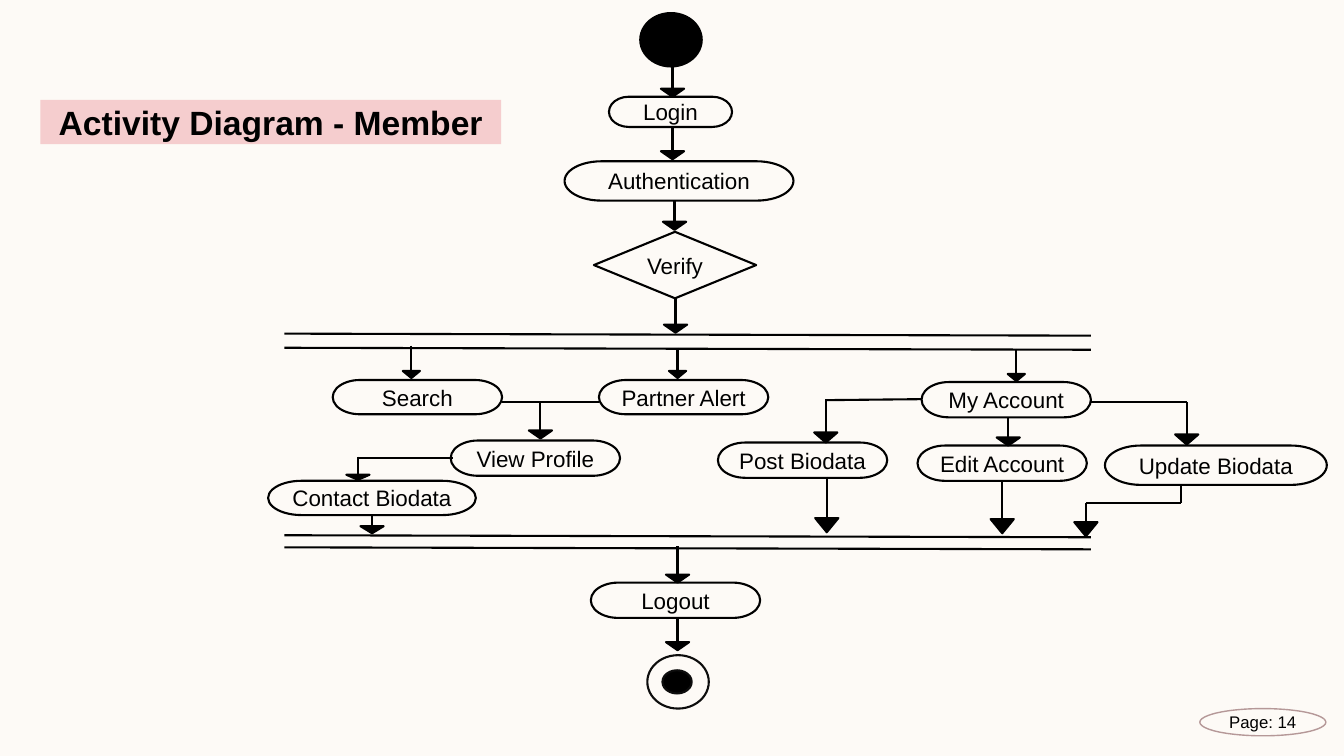
from lxml import etree
from pptx import Presentation
from pptx.dml.color import RGBColor
from pptx.enum import shapes, text
from pptx.oxml import ns
from pptx.util import Inches, Pt

COLORS = {
    "background": "FDFAF6",
    "banner": "F5CDCE",
    "ink": "000000",
    "final": "0D0D0D",
    "page": "B59898",
}
KIND = shapes.MSO_SHAPE

prs = Presentation()
prs.slide_width, prs.slide_height = Inches(13.33), Inches(7.5)
s = prs.slides.add_slide(prs.slide_layouts[6])
s.background.fill.solid()
s.background.fill.fore_color.rgb = RGBColor.from_string(COLORS["background"])


def add_node(kind, box, label="", fill=None, line="ink", width=1.5, size=16, bold=False):
    """Draw a shape with an optional centred label; fill and line are colour names."""
    sp = s.shapes.add_shape(kind, *map(Inches, box))
    sp.shadow.inherit = False
    if fill:
        sp.fill.solid()
        sp.fill.fore_color.rgb = RGBColor.from_string(COLORS[fill])
    else:
        sp.fill.background()
    if line:
        sp.line.color.rgb = RGBColor.from_string(COLORS[line])
        sp.line.width = Pt(width)
    else:
        sp.line.fill.background()
    if label:
        tf = sp.text_frame
        tf.word_wrap = False
        tf.margin_left = tf.margin_right = tf.margin_top = tf.margin_bottom = 0
        tf.vertical_anchor = text.MSO_ANCHOR.MIDDLE
        p = tf.paragraphs[0]
        p.alignment = text.PP_ALIGN.CENTER
        r = p.add_run()
        r.text = label
        r.font.name, r.font.size, r.font.bold = "Arial", Pt(size), bold
        r.font.color.rgb = RGBColor.from_string(COLORS["ink"])
    return sp


def add_line(x1, y1, x2, y2):
    c = s.shapes.add_connector(shapes.MSO_CONNECTOR.STRAIGHT, *map(Inches, (x1, y1, x2, y2)))
    c.line.color.rgb = RGBColor.from_string(COLORS["ink"])
    c.line.width = Pt(1.5)
    etree.SubElement(c._element.spPr, ns.qn("a:effectLst"))


# Page number and title
add_node(KIND.OVAL, (11.9, 7.03, 1.25, 0.27), "Page: 14", line="page", width=1, size=12)
add_node(KIND.RECTANGLE, (0.4, 0.99, 4.57, 0.44), "Activity Diagram - Member",
         fill="banner", line=None, size=24, bold=True)

# Start and end states
add_node(KIND.OVAL, (6.35, 0.13, 0.61, 0.53), fill="ink")
add_node(KIND.OVAL, (6.42, 6.5, 0.61, 0.53), line="final")
add_node(KIND.OVAL, (6.57, 6.65, 0.29, 0.23), fill="ink", line="final")

# Activities: label, left, top, width, height
activities = [
    ("Login", 6.04, 0.96, 1.22, 0.3),
    ("Authentication", 5.6, 1.6, 2.27, 0.39),
    ("Search", 3.3, 3.77, 1.68, 0.34),
    ("Partner Alert", 5.94, 3.77, 1.68, 0.34),
    ("My Account", 9.14, 3.79, 1.68, 0.35),
    ("View Profile", 4.47, 4.37, 1.68, 0.35),
    ("Contact Biodata", 2.66, 4.77, 2.06, 0.34),
    ("Post Biodata", 7.12, 4.39, 1.68, 0.35),
    ("Edit Account", 9.1, 4.42, 1.68, 0.35),
    ("Update Biodata", 10.96, 4.42, 2.2, 0.39),
    ("Logout", 5.86, 5.78, 1.68, 0.35),
]
for label, *box in activities:
    add_node(KIND.FLOWCHART_TERMINATOR, box, label)
add_node(KIND.FLOWCHART_DECISION, (5.89, 2.3, 1.61, 0.66), "Verify")

# Fork and join bars
for y in (3.31, 3.45, 5.31, 5.43):
    add_line(2.82, y, 10.82, y + 0.02)

# Branch lines beside the activities
branches = [
    (4.98, 3.99, 5.94, 3.99),
    (8.19, 3.97, 9.14, 3.96),
    (10.82, 3.99, 11.77, 3.99),
    (3.55, 4.54, 4.49, 4.54),
    (10.77, 4.99, 11.71, 4.99),
    (11.71, 4.99, 11.71, 4.81),
]
for branch in branches:
    add_line(*branch)

# Downward arrows: centre x, start y, top of head, head width, head height
arrows = [
    (6.67, 0.6, 0.88, 0.23, 0.08),
    (6.67, 1.26, 1.5, 0.23, 0.08),
    (6.69, 1.99, 2.2, 0.23, 0.08),
    (6.7, 2.96, 3.22, 0.23, 0.08),
    (4.08, 3.43, 3.68, 0.17, 0.07),
    (6.72, 3.45, 3.68, 0.17, 0.07),
    (10.08, 3.46, 3.71, 0.17, 0.07),
    (5.36, 3.99, 4.27, 0.23, 0.08),
    (8.19, 3.96, 4.29, 0.23, 0.1),
    (10, 4.14, 4.34, 0.23, 0.08),
    (11.77, 3.99, 4.31, 0.23, 0.1),
    (3.55, 4.53, 4.71, 0.23, 0.05),
    (3.69, 5.11, 5.22, 0.23, 0.07),
    (8.2, 4.73, 5.14, 0.23, 0.14),
    (9.94, 4.77, 5.15, 0.23, 0.14),
    (10.77, 4.99, 5.18, 0.23, 0.14),
    (6.72, 5.42, 5.7, 0.23, 0.08),
    (6.72, 6.14, 6.37, 0.23, 0.08),
]
for x, start, top, width, height in arrows:
    add_line(x, start, x, top)
    head = add_node(KIND.FLOWCHART_EXTRACT, (x - width / 2, top, width, height), fill="ink")
    head.rotation = 180

prs.save("out.pptx")
